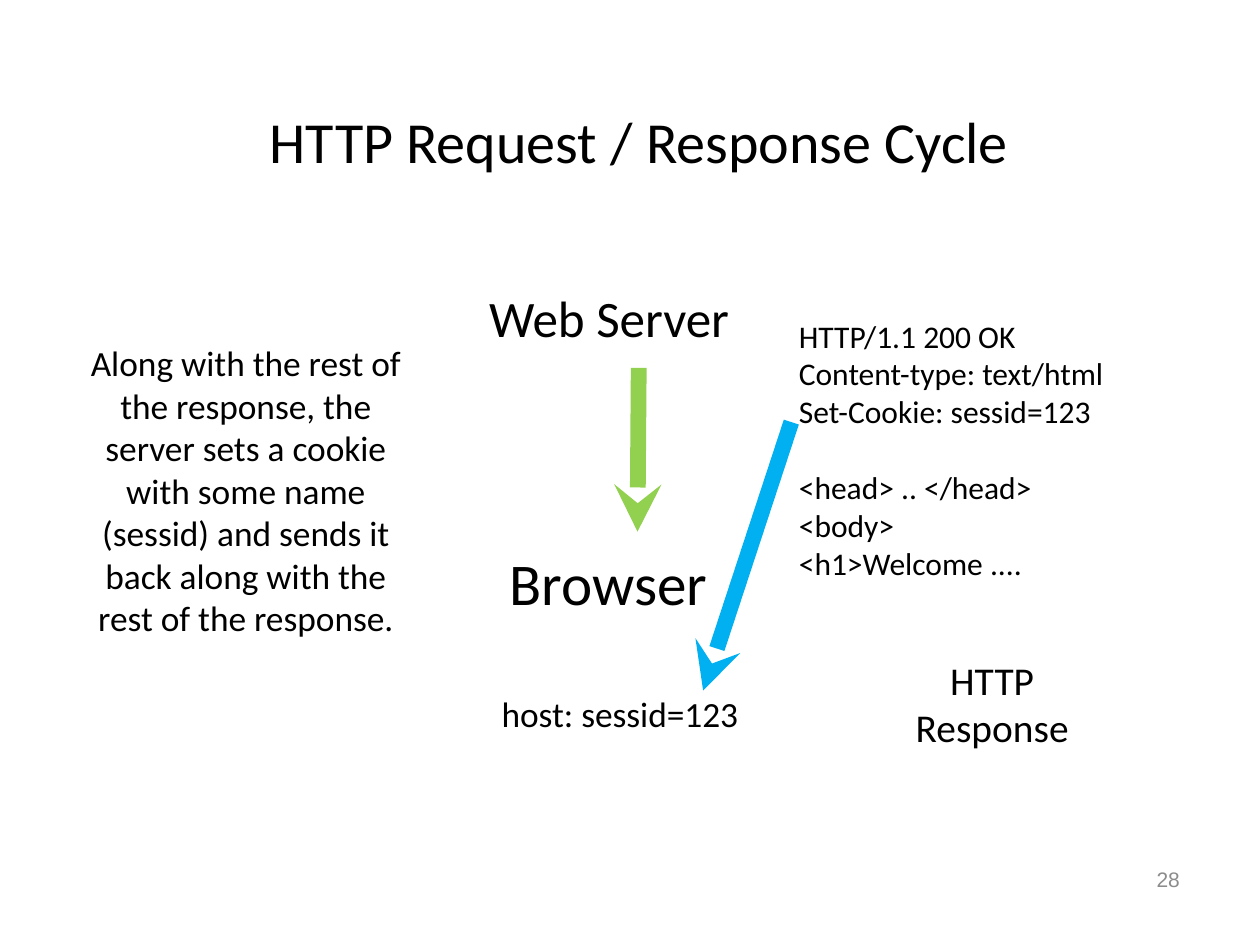
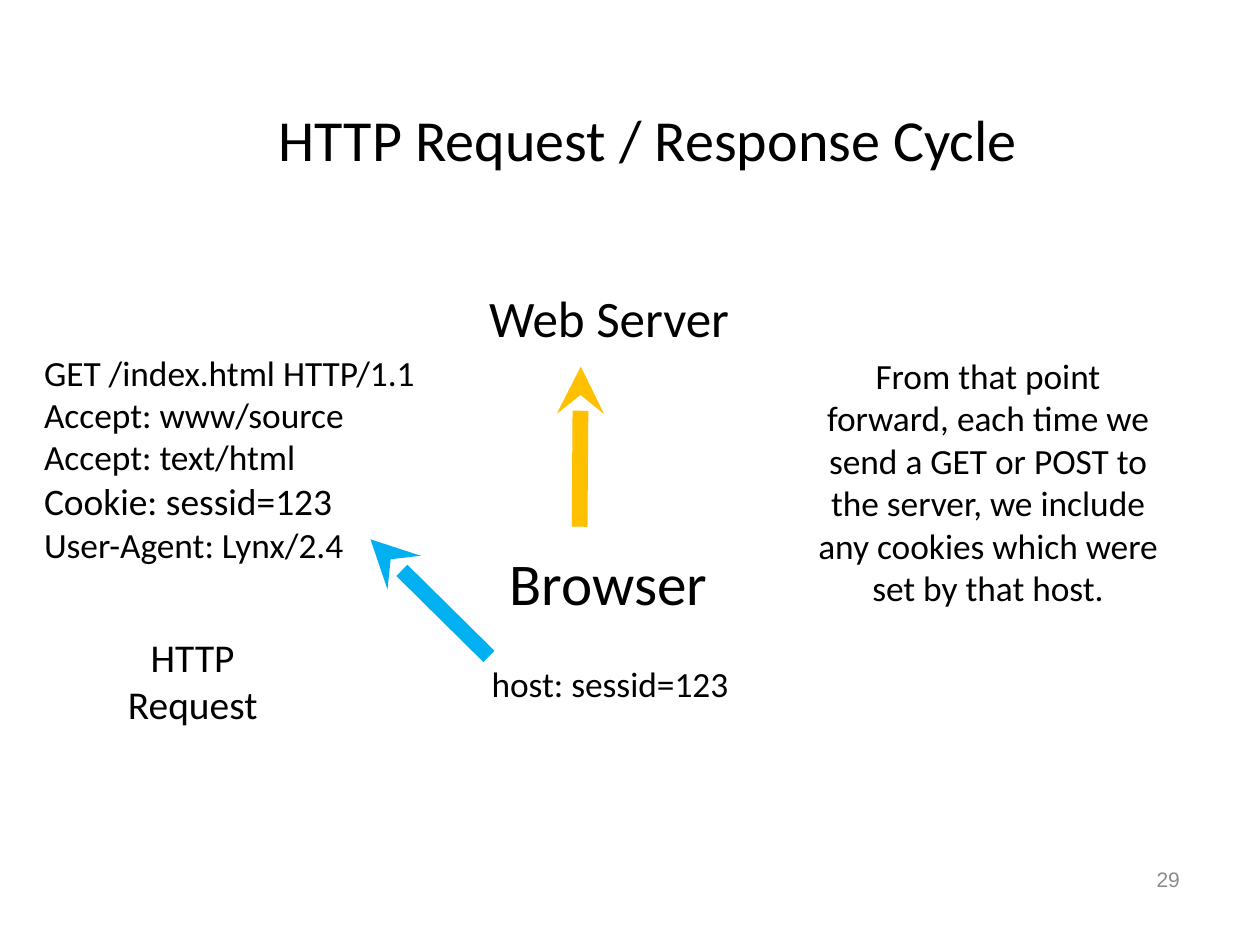
from dataclasses import dataclass

from lxml.etree import SubElement
from pptx import Presentation
from pptx.dml.color import RGBColor
from pptx.enum.shapes import MSO_CONNECTOR, MSO_SHAPE
from pptx.enum.text import MSO_ANCHOR, PP_ALIGN
from pptx.oxml.ns import qn
from pptx.util import Pt


@dataclass(frozen=True)
class Theme:
    font: str = "Calibri"
    number_font: str = "Arial"
    ink: str = "000000"
    paper: str = "FFFFFF"
    number_ink: str = "8C8C8C"
    response: str = "92D050"
    request: str = "FFC000"
    cookie: str = "00B0F0"
    title: float = 33.2
    browser: float = 33.8
    server: float = 29.2
    caption: float = 22.5
    cookie_header: float = 21.4
    body: float = 20.2
    code: float = 18
    number: float = 12
    arrow_width: float = 9


THEME = Theme()
CENTER, LEFT = PP_ALIGN.CENTER, PP_ALIGN.LEFT
MIDDLE, TOP = MSO_ANCHOR.MIDDLE, MSO_ANCHOR.TOP


def write_text(shape, lines, size=THEME.body, font=THEME.font, color=THEME.ink,
               align=CENTER, anchor=MIDDLE, wrap=True, inset=(0, 0),
               line_sizes=None, gaps=None):
    """Write one paragraph a line; line_sizes and gaps (space before) go by line index."""
    frame = shape.text_frame
    frame.word_wrap = wrap
    frame.vertical_anchor = anchor
    frame.margin_left = frame.margin_right = Pt(inset[0])
    frame.margin_top = frame.margin_bottom = Pt(inset[1])
    for index, line in enumerate(lines):
        para = frame.add_paragraph() if index else frame.paragraphs[0]
        para.alignment = align
        if gaps and index in gaps:
            para.space_before = Pt(gaps[index])
        span = para.add_run()
        span.text = line
        span.font.name = font
        span.font.size = Pt((line_sizes or {}).get(index, size))
        span.font.color.rgb = RGBColor.from_string(color)


def add_text(page, place, *lines, **style):
    box = page.shapes.add_textbox(*map(Pt, place))
    write_text(box, lines, **style)


def add_node(page, place, name, size):
    node = page.shapes.add_shape(MSO_SHAPE.RECTANGLE, *map(Pt, place))
    node.shadow.inherit = False
    node.fill.solid()
    node.fill.fore_color.rgb = RGBColor.from_string(THEME.paper)
    node.line.fill.background()
    write_text(node, [name], size=size, wrap=False)


def add_arrow(page, start, tip, color):
    arrow = page.shapes.add_connector(MSO_CONNECTOR.STRAIGHT, *map(Pt, start + tip))
    arrow.line.width = Pt(THEME.arrow_width)
    arrow.line.color.rgb = RGBColor.from_string(color)
    SubElement(arrow.line._get_or_add_ln(), qn("a:tailEnd"), type="stealth")
    SubElement(arrow._element.spPr, qn("a:effectLst"))


def add_cycle_page(deck, number, title_corner):
    """Add a page with the title, the server, the browser and the page number."""
    page = deck.slides.add_slide(deck.slide_layouts[6])
    add_text(page, title_corner + (638.6, 80.6), "HTTP Request / Response Cycle",
             size=THEME.title, inset=(7.2, 3.6))
    add_node(page, (290.9, 311.8, 113.8, 41), "Browser", THEME.browser)
    add_node(page, (278.6, 163.4, 139, 35.3), "Web Server", THEME.server)
    add_text(page, (653.8, 491.8, 41.8, 36), str(number), size=THEME.number,
             font=THEME.number_font, color=THEME.number_ink, align=LEFT,
             anchor=TOP, inset=(7.2, 3.6))
    return page


def add_response_page(deck):
    page = add_cycle_page(deck, 28, (46.1, 39.6))
    add_arrow(page, (365, 210.2), (364.3, 303.8), THEME.response)
    add_text(page, (522.7, 374.4, 88.6, 54.7), "HTTP", "Response",
             size=THEME.caption, wrap=False)
    add_text(page, (456.5, 167.8, 219.6, 177.8),
             "HTTP/1.1 200 OK", "Content-type: text/html", "Set-Cookie: sessid=123",
             "<head> .. </head>", "<body>", "<h1>Welcome ....",
             size=THEME.code, align=LEFT, gaps={3: 22})
    add_text(page, (285.8, 395.3, 136.8, 24.5), "host: sessid=123", wrap=False)
    add_arrow(page, (452.2, 241.2), (401.8, 394.6), THEME.cookie)
    add_text(page, (42.5, 197.3, 195.8, 165.6),
             "Along with the rest of the response, the server sets a cookie with some "
             "name (sessid) and sends it back along with the rest of the response.")


def add_request_page(deck):
    page = add_cycle_page(deck, 29, (51.1, 38.9))
    add_text(page, (25.2, 200.9, 309.6, 121.7),
             "GET /index.html HTTP/1.1", "Accept: www/source", "Accept: text/html",
             "Cookie: sessid=123", "User-Agent: Lynx/2.4",
             align=LEFT, line_sizes={3: THEME.cookie_header})
    add_arrow(page, (331.2, 301), (331.9, 209.5), THEME.request)
    add_text(page, (72.7, 361.4, 74.9, 54.7), "HTTP", "Request",
             size=THEME.caption, wrap=False)
    add_text(page, (280.1, 378, 136.8, 24.5), "host: sessid=123", wrap=False)
    add_arrow(page, (279.4, 375.1), (211.7, 308.2), THEME.cookie)
    add_text(page, (466.6, 192.2, 195.8, 165.6),
             "From that point forward, each time we send a GET or POST to the server, "
             "we include any cookies which were set by that host.")


def main():
    deck = Presentation()
    deck.slide_width, deck.slide_height = Pt(720), Pt(540)
    add_response_page(deck)
    add_request_page(deck)
    deck.save("out.pptx")


if __name__ == "__main__":
    main()
